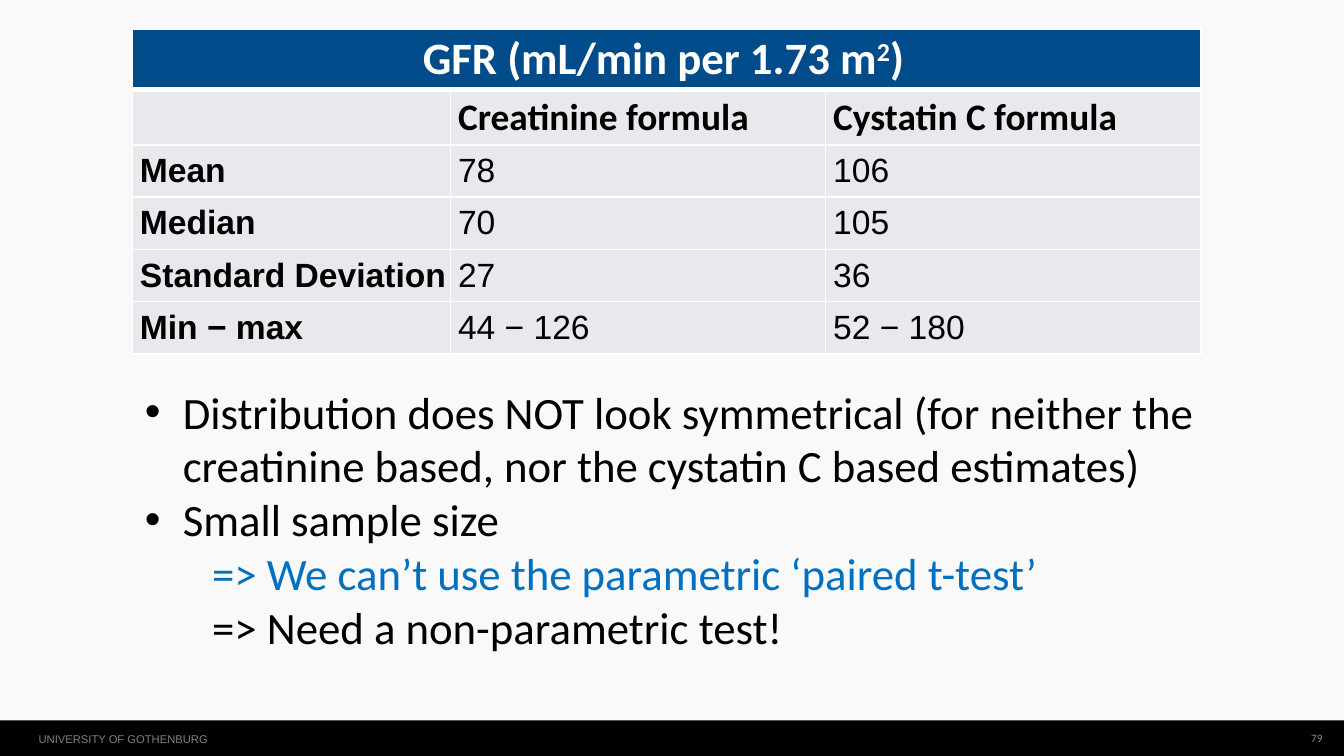
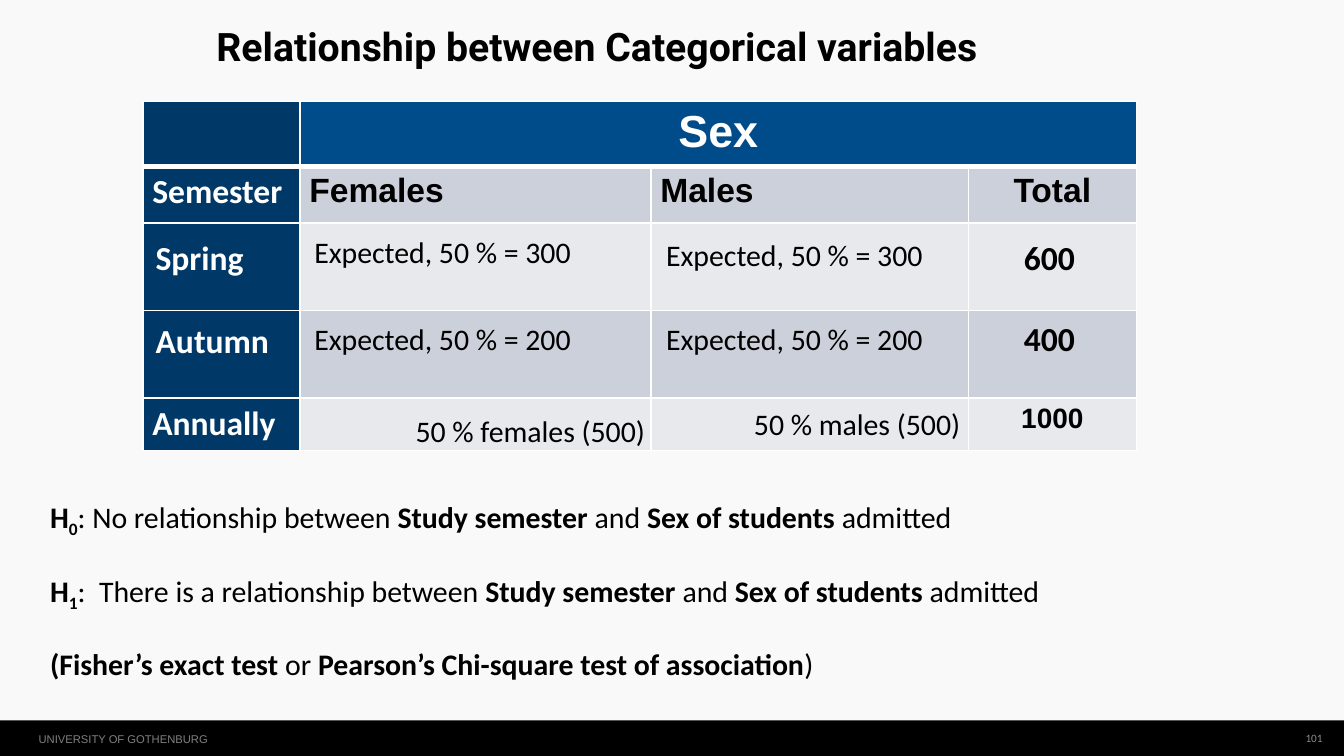
import dataclasses

import lxml.etree
import pptx
import pptx.dml.color
import pptx.enum.shapes
import pptx.enum.text
import pptx.oxml.ns
import pptx.util

Pt = pptx.util.Pt
Align = pptx.enum.text.PP_ALIGN
Anchor = pptx.enum.text.MSO_ANCHOR
qn = pptx.oxml.ns.qn


@dataclasses.dataclass(frozen=True)
class Theme:
    page: str = "F9F9F9"
    black: str = "000000"
    white: str = "FFFFFF"
    navy: str = "003867"
    blue: str = "004B89"
    accent: str = "0070C0"
    light: str = "E7E9ED"
    medium: str = "CCD0DA"
    footer_text: str = "808080"
    number_text: str = "8C8C8C"
    body_font: str = "Calibri"
    plain_font: str = "Arial"
    title_font: str = "Roboto"
    tiny: float = 6
    figure: float = 15
    note: float = 16
    cell: float = 18
    subhead: float = 20
    title: float = 21
    large: float = 24


THEME = Theme()


@dataclasses.dataclass(frozen=True)
class Style:
    size: float
    font: str = THEME.body_font
    color: str = THEME.black
    bold: bool = False
    baseline: int = 0

    def but(self, **changes):
        return dataclasses.replace(self, **changes)


LARGE = Style(THEME.large)
NOTE = Style(THEME.note)
STRONG = NOTE.but(bold=True)
SUBSCRIPT = STRONG.but(baseline=-25000)
CELL = Style(THEME.cell, THEME.plain_font)
CELL_STRONG = CELL.but(bold=True)
SUBHEAD = Style(THEME.subhead, bold=True)
TOTAL = Style(THEME.cell, bold=True)
SEMESTER = TOTAL.but(color=THEME.white)
TABLE_HEAD = LARGE.but(color=THEME.white, bold=True)


@dataclasses.dataclass(frozen=True)
class Entry:
    runs: tuple = ()
    align: Align = Align.LEFT
    span: int = 1


def entry(text, style, align=Align.LEFT, span=1):
    return Entry(((text, style),), align, span)


def rgb(color):
    return pptx.dml.color.RGBColor.from_string(color)


def add_runs(paragraph, runs, align=Align.LEFT):
    paragraph.alignment = align
    for text, style in runs:
        run = paragraph.add_run()
        run.text = text
        run.font.size = Pt(style.size)
        run.font.name = style.font
        run.font.bold = style.bold
        run.font.color.rgb = rgb(style.color)
        if style.baseline:
            run.font._element.set("baseline", str(style.baseline))


def set_margins(holder, margins):
    left, top, right, bottom = map(Pt, margins)
    holder.margin_left, holder.margin_top = left, top
    holder.margin_right, holder.margin_bottom = right, bottom


def add_text(slide, box, paragraphs, align=Align.LEFT, margins=(7.2, 3.6, 7.2, 3.6),
             anchor=Anchor.TOP, grow=False):
    frame = slide.shapes.add_textbox(*map(Pt, box)).text_frame
    frame.word_wrap = True
    frame.vertical_anchor = anchor
    if grow:
        frame.auto_size = pptx.enum.text.MSO_AUTO_SIZE.SHAPE_TO_FIT_TEXT
    set_margins(frame, margins)
    for index, runs in enumerate(paragraphs):
        paragraph = frame.add_paragraph() if index else frame.paragraphs[0]
        add_runs(paragraph, runs, align)
    return frame.paragraphs


def add_bullet(paragraph, indent):
    properties = paragraph._p.get_or_add_pPr()
    properties.set("marL", str(Pt(indent)))
    properties.set("indent", str(-Pt(indent)))
    lxml.etree.SubElement(properties, qn("a:buFont")).set("typeface", THEME.plain_font)
    lxml.etree.SubElement(properties, qn("a:buChar")).set("char", "•")


def add_tab_stop(paragraph, position):
    stops = lxml.etree.SubElement(paragraph._p.get_or_add_pPr(), qn("a:tabLst"))
    stop = lxml.etree.SubElement(stops, qn("a:tab"))
    stop.set("pos", str(Pt(position)))
    stop.set("algn", "l")


def set_borders(cell, top, bottom):
    properties = cell._tc.get_or_add_tcPr()
    for side, width in (("L", 1), ("R", 1), ("T", top), ("B", bottom)):
        line = lxml.etree.SubElement(properties, qn("a:ln" + side))
        line.set("w", str(Pt(width)))
        fill = lxml.etree.SubElement(line, qn("a:solidFill"))
        lxml.etree.SubElement(fill, qn("a:srgbClr")).set("val", THEME.white)


def add_table(slide, corner, widths, heights, rows, fill_at, margins, anchor=Anchor.TOP):
    box = (*corner, sum(widths), sum(heights))
    table = slide.shapes.add_table(len(heights), len(widths), *map(Pt, box)).table
    table.horz_banding = False
    for column, width in zip(table.columns, widths):
        column.width = Pt(width)
    for row, height in zip(table.rows, heights):
        row.height = Pt(height)
    for r, entries in enumerate(rows):
        for c in range(len(widths)):
            cell = table.cell(r, c)
            set_borders(cell, 3 if r == 1 else 1, 3 if r == 0 else 1)
            cell.fill.solid()
            cell.fill.fore_color.rgb = rgb(fill_at(r, c))
            set_margins(cell, margins)
            cell.vertical_anchor = anchor
        c = 0
        for item in entries:
            cell = table.cell(r, c)
            if item.span > 1:
                cell.merge(table.cell(r, c + item.span - 1))
            if item.runs:
                add_runs(cell.text_frame.paragraphs[0], item.runs, item.align)
            c += item.span


def add_page(deck, number):
    slide = deck.slides.add_slide(deck.slide_layouts[6])
    slide.background.fill.solid()
    slide.background.fill.fore_color.rgb = rgb(THEME.page)
    band = slide.shapes.add_shape(pptx.enum.shapes.MSO_SHAPE.RECTANGLE,
                                  *map(Pt, (0, 386, 720, 20)))
    band.shadow.inherit = False
    band.fill.solid()
    band.fill.fore_color.rgb = rgb(THEME.black)
    band.line.fill.background()
    footer = Style(THEME.tiny, THEME.plain_font, THEME.footer_text)
    add_text(slide, (20.7, 392.5, 101, 10), [[("UNIVERSITY OF GOTHENBURG", footer)]],
             margins=(0, 0, 0, 0))
    add_text(slide, (691, 386, 17.5, 19),
             [[(number, Style(THEME.tiny, color=THEME.number_text))]],
             Align.RIGHT, (0, 0, 0, 0), Anchor.MIDDLE)
    return slide


def build_gfr(deck):
    slide = add_page(deck, "79")
    heading = Entry((("GFR (mL/min per 1.73 m", TABLE_HEAD),
                     ("2", TABLE_HEAD.but(baseline=30000)),
                     (") ", TABLE_HEAD)), Align.CENTER, 3)
    statistics = [("Mean", "78", "106"), ("Median", "70", "105"),
                  ("Standard Deviation", "27", "36"),
                  ("Min − max", "44 − 126", "52 − 180")]
    rows = [[heading],
            [Entry(), entry("Creatinine formula", SUBHEAD),
             entry("Cystatin C formula", SUBHEAD)]]
    rows += [[entry(label, CELL_STRONG), entry(creatinine, CELL), entry(cystatin, CELL)]
             for label, creatinine, cystatin in statistics]
    add_table(slide, (70.9, 15.4), (170.4, 201, 201), (29.5, 29.5) + (28,) * 4, rows,
              lambda r, c: THEME.light if r else THEME.blue,
              (4.1, 2, 2, 2), Anchor.MIDDLE)
    conclusions = add_text(slide, (70.6, 202.3, 595.5, 152.6), [
        [("Distribution does NOT look symmetrical (for neither the creatinine based, "
          "nor the cystatin C based estimates)", LARGE)],
        [("Small sample size", LARGE)],
        [("\t", LARGE), ("=> We can’t use the parametric ‘paired t-test’",
                         LARGE.but(color=THEME.accent))],
        [("\t=> Need a non-parametric test!", LARGE)],
    ], grow=True)
    for reason in conclusions[:2]:
        add_bullet(reason, 20.25)
    for consequence in conclusions[2:]:
        add_tab_stop(consequence, 36)


def semester_fill(row, column):
    if column == 0:
        return THEME.navy
    if row == 0:
        return THEME.blue
    return THEME.medium if row % 2 else THEME.light


def hypothesis(index, opening):
    return [("H", STRONG), (index, SUBSCRIPT), (opening, NOTE),
            ("Study semester ", STRONG), ("and ", NOTE),
            ("Sex of students ", STRONG), ("admitted", NOTE)]


def build_categorical(deck):
    slide = add_page(deck, "101")
    sex = entry("Sex", CELL_STRONG.but(size=THEME.large, color=THEME.white),
                Align.CENTER, 3)
    annual = entry("1000", CELL_STRONG.but(size=THEME.figure), Align.CENTER)
    rows = [[Entry(), sex],
            [entry("Semester", SEMESTER), entry("Females", CELL_STRONG),
             entry("Males", CELL_STRONG), entry("Total", CELL_STRONG, Align.CENTER)],
            [], [],
            [entry("Annually", SEMESTER), Entry(), Entry(), annual]]
    add_table(slide, (76.6, 54.4), (84.2, 188, 170, 90), (35, 30, 47, 47, 28), rows,
              semester_fill, (5, 2.7, 5, 2.7))
    title = Style(THEME.title, THEME.title_font, bold=True)
    add_text(slide, (111, 8.6, 471, 32),
             [[("Relationship between Categorical variables", title)]],
             margins=(5, 2.7, 5, 2.7), anchor=Anchor.MIDDLE)
    for text, box, style, align in (
        ("Expected, 50 % = 300", (161.3, 121.6, 181.4, 26.6), NOTE, Align.LEFT),
        ("Expected, 50 % = 300", (349.8, 123.1, 153.4, 26.6), NOTE, Align.LEFT),
        ("Expected, 50 % = 200", (161.3, 168.5, 181.4, 26.6), NOTE, Align.LEFT),
        ("Expected, 50 % = 200", (349.8, 168.5, 158.4, 26.6), NOTE, Align.LEFT),
        ("50 % females (500)", (208, 217.4, 144.7, 26.6), NOTE, Align.RIGHT),
        ("50 % males (500)", (385.6, 213.8, 136, 26.6), NOTE, Align.RIGHT),
        ("Spring", (76.3, 123.1, 62.6, 29), SEMESTER, Align.LEFT),
        ("Autumn", (76.3, 167.8, 77.8, 29), SEMESTER, Align.LEFT),
        ("600", (541.4, 123.1, 62.6, 29), TOTAL, Align.LEFT),
        ("400", (541.4, 167, 62.6, 29), TOTAL, Align.LEFT),
    ):
        add_text(slide, box, [[(text, style)]], align, grow=True)
    hypotheses = add_text(slide, (19.8, 259.2, 566.6, 103.7), [
        hypothesis("0", ": No relationship between "),
        hypothesis("1", ":  There is a relationship between "),
        [("(Fisher’s exact test ", STRONG), ("or ", NOTE),
         ("Pearson’s Chi-square test of association", STRONG), (")", NOTE)],
    ], grow=True)
    for index, paragraph in enumerate(hypotheses):
        paragraph.line_spacing = 1.2
        paragraph.space_before = Pt(4.5 if index else 0)
        paragraph.space_after = Pt(9)


def main():
    deck = pptx.Presentation()
    deck.slide_width, deck.slide_height = Pt(720), Pt(405)
    build_gfr(deck)
    build_categorical(deck)
    deck.save("out.pptx")


if __name__ == "__main__":
    main()
